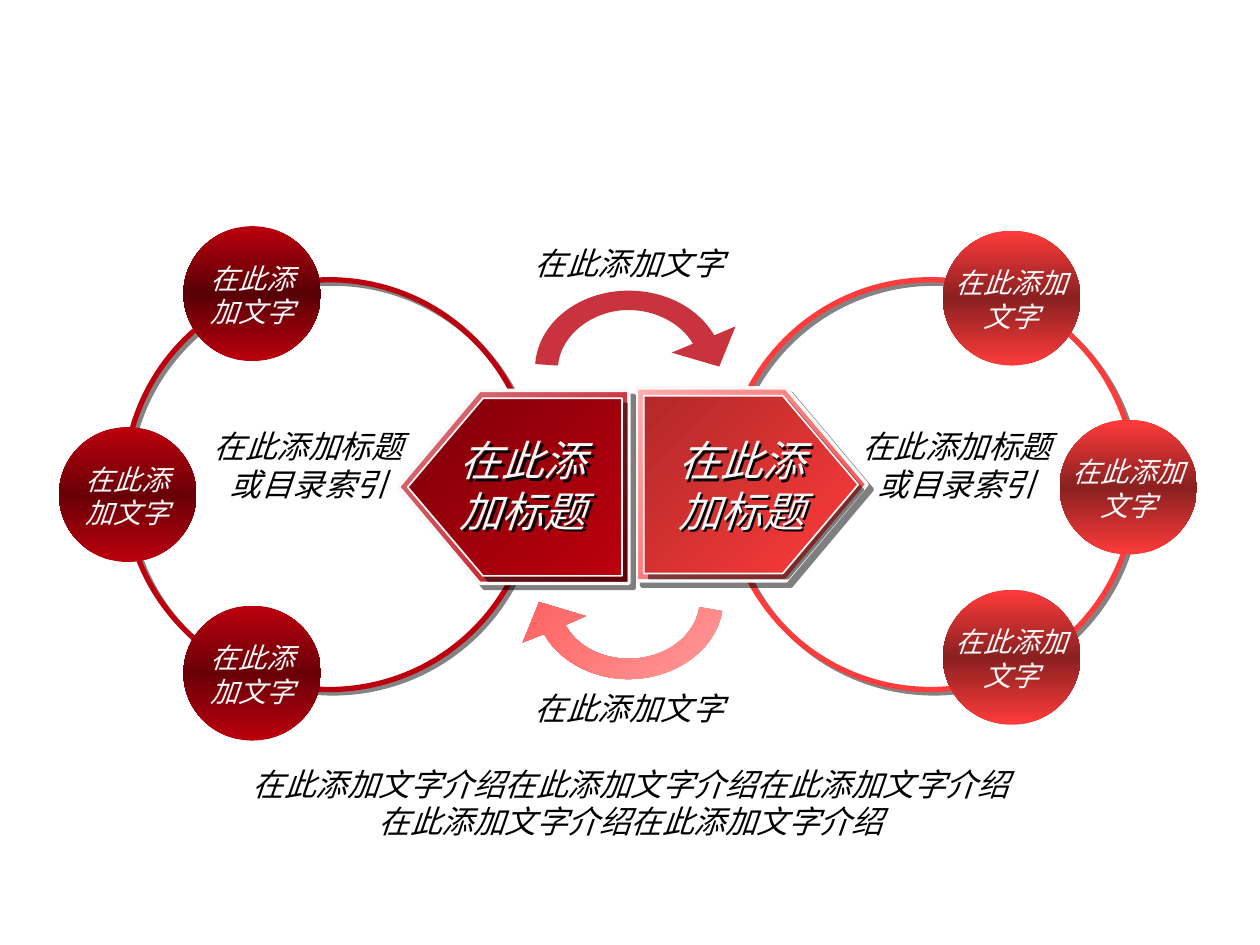
from dataclasses import dataclass
from pptx import Presentation as Deck
from pptx.dml.color import RGBColor as Rgb
from pptx.enum.shapes import MSO_SHAPE as Form
from pptx.enum.text import MSO_AUTO_SIZE as Fit, PP_ALIGN as Align
from pptx.oxml import parse_xml as parse
from pptx.oxml.ns import nsdecls as spaces, qn
from pptx.util import Cm, Pt


@dataclass(frozen=True)
class Theme:
    red: str = "BC000D"
    wine: str = "690007"
    deep: str = "570006"
    dusk: str = "7D0009"
    rose: str = "DD7D84"
    coral: str = "FF3B3B"
    rust: str = "8A2020"
    brick: str = "B22929"
    blush: str = "FFAEAE"
    pink: str = "FF8282"
    ink: str = "000000"
    shade: str = "080808"
    pale: str = "F8F8F8"
    body: str = "Arial"
    head: str = "Calibri"
    small: int = 16
    mid: int = 18
    large: int = 24


def write(frame, text, size, color, font):
    frame.word_wrap, frame.auto_size = True, Fit.SHAPE_TO_FIT_TEXT
    for i, line in enumerate(text.split("\n")):
        para = frame.add_paragraph() if i else frame.paragraphs[0]
        para.alignment = Align.CENTER
        run = para.add_run()
        run.text = line
        face = run.font
        face.size, face.italic, face.name = Pt(size), True, font
        face.color.rgb = Rgb.from_string(color)


def cast(shape, color, dist, alpha=50):
    shape.shadow.inherit = False
    shape._element.spPr.find(qn("a:effectLst")).append(parse(
        f'<a:outerShdw {spaces("a")} dist="{Pt(dist)}" dir="2700000" algn="ctr" rotWithShape="0">'
        f'<a:srgbClr val="{color}"><a:alpha val="{alpha * 1000}"/></a:srgbClr></a:outerShdw>'))


def blend(shape, colors, angle=0, alpha=100):
    tints = [f'<a:srgbClr val="{c}"><a:alpha val="{alpha * 1000}"/></a:srgbClr>' for c in colors]
    last = len(tints) - 1
    if last:
        stops = "".join(f'<a:gs pos="{100000 * i // last}">{t}</a:gs>' for i, t in enumerate(tints))
        fill = (f'<a:gradFill {spaces("a")} rotWithShape="1"><a:gsLst>{stops}</a:gsLst>'
                f'<a:lin ang="{angle * 60000}" scaled="0"/></a:gradFill>')
    else:
        fill = f'<a:solidFill {spaces("a")}>{tints[0]}</a:solidFill>'
    shape.fill.background()
    props = shape._element.spPr
    props.replace(props.find(qn("a:noFill")), parse(fill))


def curve(shape, parts):
    lines = list(shape._element.iter(qn("a:lnTo")))
    for line, part in zip(lines, parts):
        if len(part) == 6:
            dots = "".join(
                f'<a:pt x="{Cm(x) - shape.left}" y="{Cm(y) - shape.top}"/>'
                for x, y in zip(part[::2], part[1::2]))
            bend = parse(f'<a:cubicBezTo {spaces("a")}>{dots}</a:cubicBezTo>')
            line.getparent().replace(line, bend)


class Board:
    """Draws styled parts on one slide."""

    def __init__(self, slide, theme):
        self.slide, self.theme = slide, theme

    def shape(self, form, x, y, wide, high, edge=None, width=0):
        item = self.slide.shapes.add_shape(form, Cm(x), Cm(y), Cm(wide), Cm(high))
        item.fill.background()
        item.shadow.inherit = False
        if edge:
            item.line.color.rgb, item.line.width = Rgb.from_string(edge), Pt(width)
        else:
            item.line.fill.background()
        return item

    def ring(self, x, color):
        cast(self.shape(Form.OVAL, x, 5.64, 8.26, 8.26, color, 3), self.theme.shade, 2.8)

    def note(self, text, x, y, wide, high, size=None, color=None, font=None):
        look = self.theme
        box = self.slide.shapes.add_textbox(Cm(x), Cm(y), Cm(wide), Cm(high))
        write(box.text_frame, text, size or look.mid, color or look.ink, font or look.body)
        return box

    def ball(self, text, x, y, rim, core, wide):
        size = 2.77
        blend(self.shape(Form.OVAL, x, y, size, 2.72), (rim, core, rim), 90)
        self.note(text, x + (size - wide) / 2, y + 0.58, wide, 1.63,
                  self.theme.small, self.theme.pale)

    def plate(self, x, y, inset, outer, inner, angle, flip=False):
        look = self.theme
        for left, top, wide, high, adj, width, colors in (
                (x, y, 4.65, 3.89, 0.42, 2, outer),
                (x + inset, y + 0.16, 4.32, 3.58, 0.424, 1, inner)):
            item = self.shape(Form.PENTAGON, left, top, wide, high, look.pale, width)
            cast(item, look.ink, 4.2)
            item.adjustments[0] = adj
            blend(item, colors, angle)
            if flip:
                item._element.spPr.xfrm.set("flipH", "1")

    def arrow(self, start, parts, colors, angle=0):
        maker = self.slide.shapes.build_freeform(*map(Cm, start))
        maker.add_line_segments([tuple(map(Cm, part[-2:])) for part in parts], close=True)
        item = maker.convert_to_shape()
        curve(item, parts)
        item.shadow.inherit = False
        item.line.fill.background()
        blend(item, colors, angle, 80)


def main():
    deck = Deck()
    deck.slide_width, deck.slide_height = Cm(25.4), Cm(19.05)
    look = Theme()
    board = Board(deck.slides.add_slide(deck.slide_layouts[6]), look)
    label, title, topic = "在此添加文字", "在此添加标题", "在此添加标题或目录索引"

    board.ring(14.63, look.coral)
    board.ring(2.51, look.red)
    for x in (3.93, 17):
        board.note(topic, x, 8.48, 4.57, 1.78)
    for x, y, core in ((3.7, 4.56, look.deep), (3.7, 12.21, look.wine), (1.19, 8.61, look.wine)):
        board.ball(label, x, y, look.red, core, 2.59)
    for x, y in ((19.01, 4.65), (19.01, 11.89), (21.36, 8.46)):
        board.ball(label, x, y, look.coral, look.rust, 2.95)
    intro = label + "介绍"
    board.note(f"{intro * 3}\n{intro * 2}", 3.98, 15.29, 17.48, 2.54)

    board.arrow((13.97, 6.93), [
        (13.74, 6.53, 13.23, 6.25, 12.67, 6.25),
        (11.94, 6.25, 11.3, 6.76, 11.25, 7.37), (10.79, 7.34),
        (10.85, 6.5, 11.68, 5.86, 12.67, 5.86), (13.41, 5.86, 14.07, 6.2, 14.4, 6.76),
        (14.83, 6.58), (14.5, 7.39), (13.54, 7.11), (13.97, 6.93)], (look.red,))
    board.plate(12.83, 7.82, 0.15, (look.blush, look.coral), (look.brick, look.coral), 45)
    board.plate(8.03, 7.87, 0.19, (look.red, look.rose), (look.red, look.dusk), 315, flip=True)
    for x in (8.76, 13.16):
        box = board.note(title, x, 8.64, 3.56, 2.29, look.large, look.pale, look.head)
        cast(box, look.ink, 2, 100)
    for y in (4.8, 13.77):
        board.note(label, 10.15, y, 5.08, 1.02)
    board.arrow((11.4, 12.6), [
        (11.63, 13.03, 12.14, 13.28, 12.67, 13.28),
        (13.39, 13.28, 14, 12.85, 14.1, 12.24), (14.56, 12.32),
        (14.43, 13.11, 13.61, 13.69, 12.67, 13.69), (11.96, 13.69, 11.28, 13.34, 10.97, 12.78),
        (10.54, 12.95), (10.87, 12.14), (11.81, 12.42), (11.4, 12.6)],
        (look.pink, look.coral), 225)
    deck.save("out.pptx")


if __name__ == "__main__":
    main()
